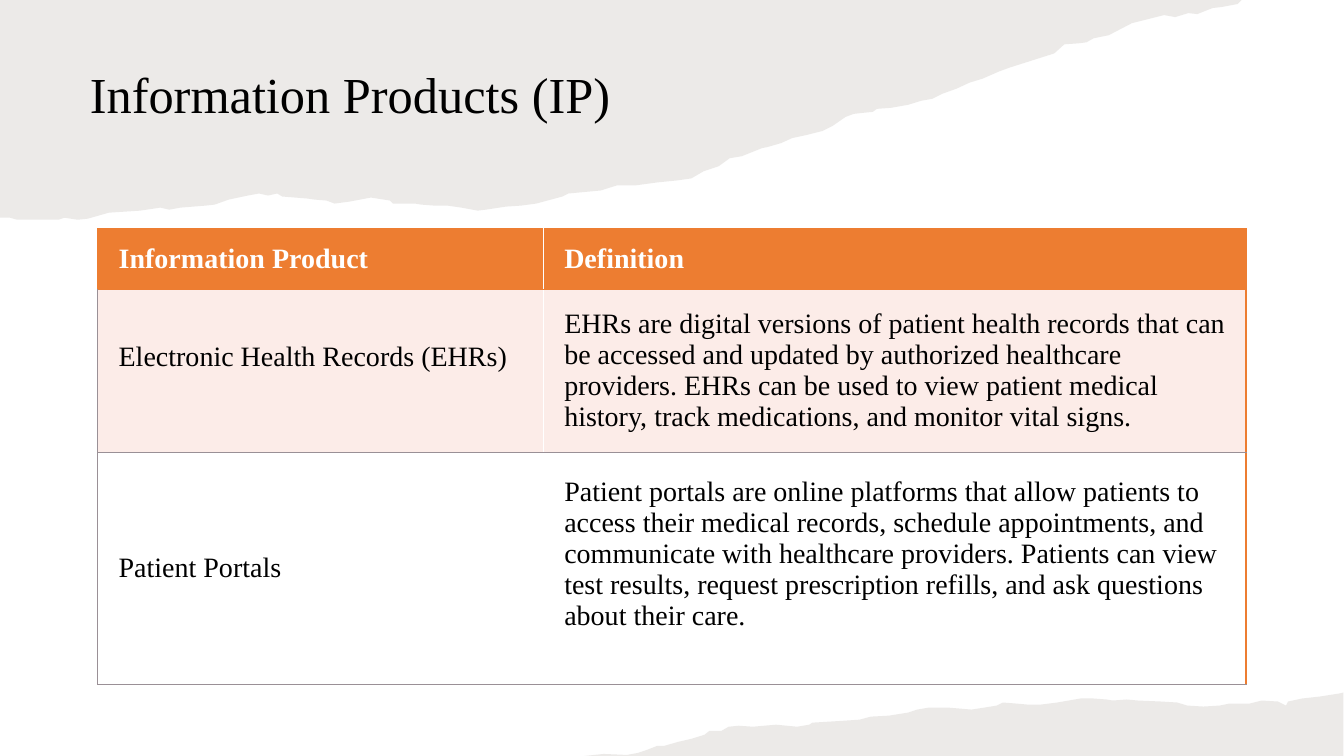
import pptx
import pptx.dml.color
import pptx.enum.text
import pptx.oxml
import pptx.oxml.ns
import pptx.util
from pptx.util import Cm, Pt

ORANGE, PINK, WHITE, BLACK = "ED7D31", "FCECE8", "FFFFFF", "000000"
PAPER, RULE = "82766A", "9A9096"
FONT = "Times New Roman"

# Torn paper edges, in hundredths of an inch
TOP_EDGE = [
    (0, 0), (1232, 0), (1228, 4), (1212, 7), (1203, 8), (1188, 14), (1179, 13),
    (1166, 17), (1155, 15), (1123, 23), (1100, 35), (1085, 38), (1078, 42),
    (1070, 43), (1056, 44), (1046, 53), (1002, 67), (991, 71), (975, 78),
    (962, 82), (949, 88), (935, 93), (925, 98), (914, 100), (901, 104),
    (884, 107), (870, 108), (866, 111), (856, 112), (847, 113), (839, 116),
    (826, 125), (816, 130), (800, 134), (786, 137), (775, 142), (761, 146),
    (756, 147), (736, 155), (724, 157), (713, 165), (698, 170), (686, 177),
    (672, 179), (652, 181), (630, 184), (612, 184), (596, 189), (564, 192),
    (558, 195), (532, 202), (517, 204), (502, 205), (482, 208), (474, 209),
    (458, 206), (444, 204), (431, 204), (418, 203), (412, 202), (390, 202),
    (387, 199), (368, 196), (347, 200), (332, 202), (324, 199), (312, 198),
    (305, 197), (280, 195), (275, 192), (266, 194), (257, 192), (246, 194),
    (227, 198), (213, 203), (204, 204), (179, 206), (168, 208), (159, 206),
    (139, 209), (108, 211), (87, 217), (77, 218), (64, 216), (58, 218),
    (53, 218), (41, 218), (17, 218), (10, 216), (0, 216),
]
BOTTOM_EDGE = [
    (1333, 687), (1333, 750), (580, 750), (599, 748), (622, 749), (633, 747),
    (642, 744), (652, 740), (659, 740), (673, 736), (686, 733), (699, 729),
    (704, 725), (716, 725), (723, 721), (733, 720), (747, 721), (770, 719),
    (791, 721), (803, 719), (806, 717), (838, 715), (853, 714), (864, 711),
    (882, 710), (901, 707), (910, 704), (922, 702), (940, 702), (964, 704),
    (977, 702), (989, 700), (995, 697), (1008, 698), (1019, 699), (1033, 699),
    (1049, 697), (1072, 693), (1085, 693), (1098, 694), (1104, 695),
    (1118, 694), (1129, 695), (1152, 696), (1168, 697), (1178, 700),
    (1194, 701), (1210, 700), (1220, 698), (1240, 698), (1252, 695),
    (1268, 696), (1276, 700), (1278, 696), (1292, 693), (1310, 691),
    (1329, 688),
]

PRODUCTS = [
    ("Information Product", "Definition"),
    ("Electronic Health Records (EHRs)",
     "EHRs are digital versions of patient health records that can be accessed and "
     "updated by authorized healthcare providers. EHRs can be used to view patient "
     "medical history, track medications, and monitor vital signs."),
    ("Patient Portals",
     "Patient portals are online platforms that allow patients to access their "
     "medical records, schedule appointments, and communicate with healthcare "
     "providers. Patients can view test results, request prescription refills, "
     "and ask questions about their care."),
]
RAISED_CELLS = {(1, 0), (2, 1)}  # text sits above the middle of the cell


def rgb(value):
    return pptx.dml.color.RGBColor.from_string(value)


class Page:
    def __init__(self, slide):
        self.slide = slide

    def style(self, paragraph, size, colour, bold=False):
        font = paragraph.font
        font.name, font.size, font.bold = FONT, Pt(size), bold
        font.color.rgb = rgb(colour)
        paragraph.alignment = pptx.enum.text.PP_ALIGN.LEFT

    def title(self, text, left, top, width, height):
        heading = self.slide.shapes.title
        heading.left, heading.top = Cm(left), Cm(top)
        heading.width, heading.height = Cm(width), Cm(height)
        frame = heading.text_frame
        frame.text = text
        frame.vertical_anchor = pptx.enum.text.MSO_ANCHOR.MIDDLE
        frame.paragraphs[0].line_spacing = 0.9
        self.style(frame.paragraphs[0], 36, BLACK)

    def torn_paper(self, edge):
        builder = self.slide.shapes.build_freeform(*edge[0], scale=Cm(0.0254))
        builder.add_line_segments(edge[1:], close=True)
        paper = builder.convert_to_shape()
        paper.shadow.inherit = False
        paper.line.fill.background()
        paper.fill.solid()
        paper.fill.fore_color.rgb = rgb(PAPER)
        colour = paper._element.spPr.find(".//" + pptx.oxml.ns.qn("a:srgbClr"))
        colour.append(pptx.oxml.parse_xml(
            f'<a:alpha {pptx.oxml.ns.nsdecls("a")} val="15000"/>'))
        # Paper lies behind the title
        self.slide.shapes._spTree.insert(2, paper._element)

    def border(self, cell, side, colour, width):
        line = pptx.oxml.parse_xml(
            f'<a:ln{side} {pptx.oxml.ns.nsdecls("a")} w="{Pt(width)}"><a:solidFill>'
            f'<a:srgbClr val="{colour}"/></a:solidFill></a:ln{side}>')
        properties = cell._tc.get_or_add_tcPr()
        position = len(properties.findall("*")) - 1  # before the fill
        properties.insert(position, line)

    def table(self, rows, left, top, widths, heights):
        grid = self.slide.shapes.add_table(
            len(rows), len(widths), Cm(left), Cm(top),
            Cm(sum(widths)), Cm(sum(heights))).table
        for column, width in zip(grid.columns, widths):
            column.width = Cm(width)
        for row, height in zip(grid.rows, heights):
            row.height = Cm(height)
        for r, texts in enumerate(rows):
            for c, text in enumerate(texts):
                self.cell(grid.cell(r, c), text, r, c)

    def cell(self, cell, text, row, column):
        header = row == 0
        cell.text = text
        cell.vertical_anchor = pptx.enum.text.MSO_ANCHOR.MIDDLE
        cell.margin_left = Cm(0.53)
        cell.margin_right = cell.margin_top = Cm(0.25)
        cell.margin_bottom = Cm(0.97 if (row, column) in RAISED_CELLS else 0.25)
        self.style(cell.text_frame.paragraphs[0], 20, WHITE if header else BLACK, header)
        cell.fill.solid()
        cell.fill.fore_color.rgb = rgb((ORANGE, PINK, WHITE)[row])
        # Borders: orange around the header and at the right, grey elsewhere
        outline = (ORANGE, 1) if header else (RULE, 0.75)
        if column == 0:
            self.border(cell, "L", *outline)
        else:
            self.border(cell, "R", ORANGE, 1.5)
        self.border(cell, "T", *((ORANGE, 1) if row < 2 else outline))
        self.border(cell, "B", *outline)


def main():
    deck = pptx.Presentation()
    deck.slide_width, deck.slide_height = Cm(33.87), Cm(19.05)
    page = Page(deck.slides.add_slide(deck.slide_layouts[5]))

    # Background
    page.torn_paper(BOTTOM_EDGE)
    page.torn_paper(TOP_EDGE)

    # Title and table
    page.title("Information Products (IP)", 2.01, 1.42, 21.26, 2.06)
    page.table(PRODUCTS, 2.46, 5.77, (11.23, 17.7), (1.52, 4.11, 5.84))

    deck.save("out.pptx")


if __name__ == "__main__":
    main()
